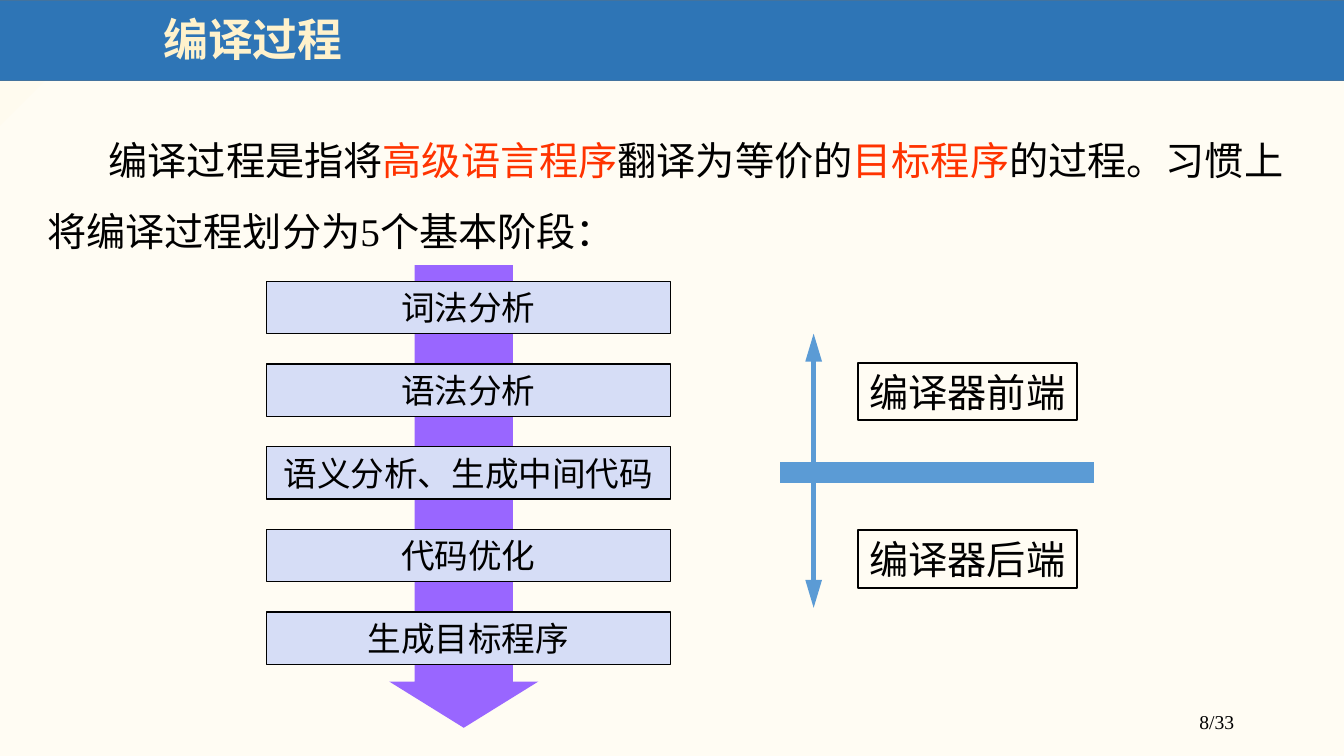
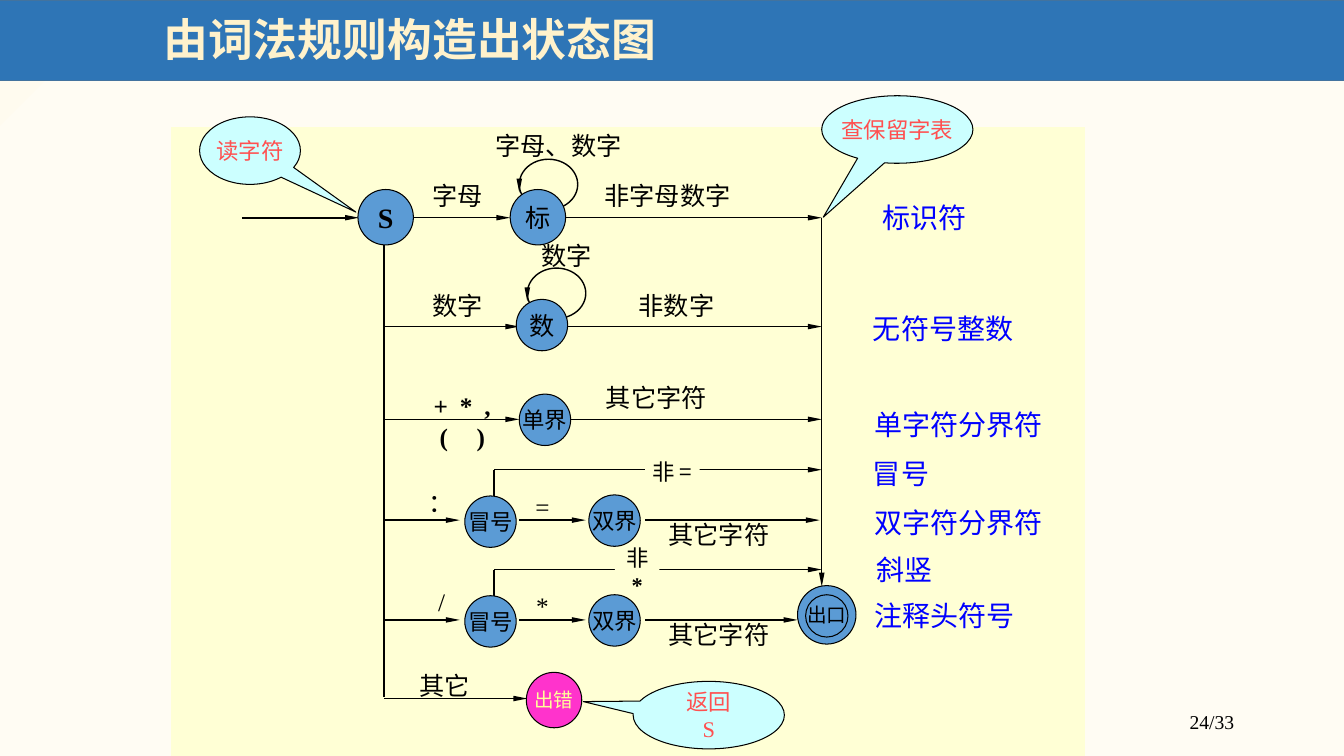
"""Build two slides on the phases of compiling and a lexer state diagram."""
from lxml import etree
from pptx import Presentation
from pptx.dml.color import RGBColor
from pptx.enum.shapes import MSO_CONNECTOR, MSO_SHAPE
from pptx.enum.text import MSO_ANCHOR, PP_ALIGN
from pptx.oxml.ns import qn
from pptx.util import Inches, Pt

RECT, OVAL, ARROW = MSO_SHAPE.RECTANGLE, MSO_SHAPE.OVAL, MSO_SHAPE.DOWN_ARROW
CALLOUT = MSO_SHAPE.OVAL_CALLOUT
STRAIGHT = MSO_CONNECTOR.STRAIGHT
LEFT, CENTER, RIGHT = PP_ALIGN.LEFT, PP_ALIGN.CENTER, PP_ALIGN.RIGHT
TOP, MIDDLE, BOTTOM = MSO_ANCHOR.TOP, MSO_ANCHOR.MIDDLE, MSO_ANCHOR.BOTTOM
SERIF, SANS = "Times New Roman", "Noto Sans CJK SC"
BLACK, BLUE, RED = "000000", "5B9BD5", "FF3300"
PANEL, PHASE, BUBBLE = "FFFFD5", "D6DDF6", "CCFFFF"
rgb = RGBColor.from_string


def add_box(slide, at, text="", kind=None, fill=None, line=None, width=0.75, size=18,
            color=BLACK, bold=False, align=CENTER, anchor=MIDDLE, wrap=False, face=SERIF):
    """Add a text box, or a preset shape when kind is given."""
    place = [Inches(v) for v in at]
    if kind is None:
        box = slide.shapes.add_textbox(*place)
    else:
        box = slide.shapes.add_shape(kind, *place)
        box.shadow.inherit = False
        if fill:
            box.fill.solid()
            box.fill.fore_color.rgb = rgb(fill)
        else:
            box.fill.background()
        if line:
            box.line.color.rgb = rgb(line)
            box.line.width = Pt(width)
        else:
            box.line.fill.background()
    if text:
        frame = box.text_frame
        frame.text = text
        frame.word_wrap = wrap
        frame.vertical_anchor = anchor
        for paragraph in frame.paragraphs:
            paragraph.alignment = align
            font = paragraph.font
            font.size, font.bold, font.name = Pt(size), bold, face
            font.color.rgb = rgb(color)
            defaults = paragraph._p.pPr.find(qn("a:defRPr"))
            etree.SubElement(defaults, qn("a:ea")).set("typeface", SANS)
    return box


def add_line(slide, ends, color=BLACK, width=1, head="sm"):
    """Add a straight line whose arrowhead has the given width, if any."""
    line = slide.shapes.add_connector(STRAIGHT, *[Inches(v) for v in ends])
    line.line.color.rgb = rgb(color)
    line.line.width = Pt(width)
    properties = line._element.spPr
    if head:
        tail = etree.SubElement(properties.find(qn("a:ln")), qn("a:tailEnd"))
        for key, value in (("type", "triangle"), ("w", head), ("len", "lg")):
            tail.set(key, value)
    etree.SubElement(properties, qn("a:effectLst"))


deck = Presentation()
deck.slide_width, deck.slide_height = Inches(13.33), Inches(7.5)
layout = deck.slide_layouts[5]
backdrop = layout.background.fill
backdrop.gradient()
backdrop.gradient_angle = 135
for stop, (position, tint) in zip(backdrop.gradient_stops, ((0.88, "FFFCF3"), (1, "FFFBEF"))):
    stop.position = position
    stop.color.rgb = rgb(tint)

slides = []
for heading, page in (("编译过程", "8/33"), ("由词法规则构造出状态图", "24/33")):
    slide = deck.slides.add_slide(layout)
    band = add_box(slide, (-0.02, 0, 13.36, 0.8), kind=RECT, fill="2E75B6", line="43739E", width=1)
    slide.shapes._spTree.insert(2, band._element)
    title = slide.shapes.title
    title.left, title.top, title.width, title.height = [Inches(v) for v in (1.52, 0, 10.97, 0.83)]
    title.text_frame.text = heading
    title.text_frame.vertical_anchor = MIDDLE
    paragraph = title.text_frame.paragraphs[0]
    paragraph.alignment = LEFT
    paragraph.line_spacing = 0.9
    paragraph.font.size, paragraph.font.bold, paragraph.font.name = Pt(32), True, SANS
    paragraph.font.color.rgb = rgb("FFF2CC")
    defaults = paragraph._p.pPr.find(qn("a:defRPr"))
    etree.SubElement(defaults, qn("a:ea")).set("typeface", SANS)
    add_box(slide, (9.56, 6.83, 2.78, 0.5), page, size=14, align=RIGHT, anchor=BOTTOM, wrap=True)
    slides.append(slide)
process, diagram = slides

intro = add_box(process, (0.37, 1.07, 12.56, 1.49), "编译过程是指将", size=28,
                align=LEFT, anchor=TOP, wrap=True).text_frame.paragraphs[0]
intro.line_spacing = 1.5
intro._p.pPr.set("indent", str(Inches(0.61)))
for words, color in (("高级语言程序", RED), ("翻译为等价的", None), ("目标程序", RED),
                     ("的过程。习惯上将编译过程划分为5个基本阶段：", None)):
    run = intro.add_run()
    run.text = words
    if color:
        run.font.color.rgb = rgb(color)

flow = add_box(process, (3.86, 2.63, 1.48, 4.59), kind=ARROW, fill="9966FF")
flow.adjustments[0], flow.adjustments[1] = 0.66, 0.31
phases = ("词法分析", "语法分析", "语义分析、生成中间代码", "代码优化", "生成目标程序")
for i, phase in enumerate(phases):
    add_box(process, (2.64, 2.79 + 0.82 * i, 4.01, 0.52), phase, RECT, PHASE, BLACK, 1,
            size=24, face=SANS)

add_line(process, (7.74, 4.69, 10.85, 4.69), BLUE, 15, None)
for start, end, top, part in ((4.59, 3.31, 3.6, "编译器前端"), (4.75, 6.03, 5.26, "编译器后端")):
    add_line(process, (8.07, start, 8.07, end), BLUE, 4, "med")
    add_box(process, (8.51, top, 2.17, 0.57), part, RECT, line=BLACK, width=1.5,
            size=28, face=SANS)

add_box(diagram, (1.7, 1.27, 9.06, 6.23), kind=RECT, fill=PANEL, line=PANEL)
for left, top, token in ((8.65, 1.94, "标识符"), (8.56, 3.04, "无符号整数"),
                         (8.57, 3.99, "单字符分界符"), (8.56, 4.48, "冒号"),
                         (8.57, 4.97, "双字符分界符"), (8.59, 5.43, "斜竖"),
                         (8.57, 5.89, "注释头符号")):
    add_box(diagram, (left, top, 1.98, 0.43), token, size=20, color="0000FF", align=LEFT, wrap=True)

for left, top in ((5.15, 1.58), (5.23, 2.66)):
    add_box(diagram, (left, top, 0.58, 0.5), kind=OVAL, line=BLACK, width=1)
    add_line(diagram, (left, top + 0.25, left, top + 0.33), width=0.75)

add_line(diagram, (2.4, 2.16, 3.56, 2.16), width=1.5)
add_line(diagram, (3.81, 2.33, 3.81, 6.91), head=None)
add_line(diagram, (8.15, 2.16, 8.15, 5.82))
for ends in ((3.98, 2.16, 5.06, 2.16), (5.48, 2.16, 8.15, 2.16),
             (3.81, 3.24, 5.15, 3.24), (5.56, 3.24, 8.15, 3.24),
             (3.81, 4.16, 5.15, 4.16), (5.65, 4.16, 8.15, 4.16),
             (3.81, 6.93, 5.23, 6.93)):
    add_line(diagram, ends)

labels = [(5.54, 1.24, "字母、数字"), (4.54, 1.74, "字母"), (6.62, 1.74, "非字母数字"),
          (5.62, 2.33, "数字"), (4.54, 2.83, "数字"), (6.71, 2.83, "非数字"),
          (6.51, 3.74, "其它字符"), (4.41, 6.6, "其它")]
nodes = [(3.55, 1.88, 0.55, "S", 20), (5.06, 1.88, 0.55, "标", 18),
         (5.12, 2.97, 0.51, "数", 18), (5.15, 3.91, 0.51, "单界", 16),
         (7.91, 5.81, 0.58, "出口", 14)]
for y, first, second, exit_x in ((5.16, "：", "=", 8.13), (6.15, "/", "*", 7.91)):
    for ends in ((3.81, y, 4.56, y), (5.15, y, 5.81, y), (6.4, y, exit_x, y),
                 (4.9, y - 0.5, 8.15, y - 0.5)):
        add_line(diagram, ends)
    add_line(diagram, (4.9, y - 0.22, 4.9, y - 0.5), head=None)
    labels += [(4.38, y - 0.38, first), (5.38, y - 0.34, second), (7.13, y - 0.06, "其它字符")]
    nodes += [(4.61, y - 0.24, 0.51, "冒号", 16), (5.84, y - 0.25, 0.51, "双界", 16)]

for center, top, label in labels:
    add_box(diagram, (center - 0.75, top, 1.5, 0.4), label)
for left, top, side, state, size in nodes:
    add_box(diagram, (left, top, side, side), state, OVAL, BLUE, BLACK, size=size, bold=state == "S")
add_box(diagram, (7.99, 5.9, 0.42, 0.42), kind=OVAL, line=BLACK)
add_box(diagram, (5.22, 6.67, 0.55, 0.55), "出错", OVAL, "FF33CC", BLACK, size=14, color="FFFF99")

delimiters = add_box(diagram, (4.19, 3.82, 0.79, 0.71), "+ * ,\n( )", bold=True)
for paragraph, spacing in zip(delimiters.text_frame.paragraphs, (200, 800)):
    paragraph.runs[0]._r.get_or_add_rPr().set("spc", str(spacing))

add_box(diagram, (6.4, 4.49, 0.54, 0.37), "非 =", RECT, PANEL, size=16, face=SANS)
not_star = add_box(diagram, (6.1, 5.48, 0.44, 0.37), "非\v*", RECT, PANEL, size=16)
not_star.text_frame.paragraphs[0].runs[-1].font.bold = True

for at, tip, note in (((1.98, 1.16, 1, 0.67), (1.05, 0.91), "读字符"),
                      ((8.15, 0.95, 1.5, 0.67), (-0.49, 1.3), "查保留字表"),
                      ((6.28, 6.76, 1.5, 0.67), (-0.83, -0.2), "返回\vS")):
    callout = add_box(diagram, at, note, CALLOUT, BUBBLE, BLACK, size=16, color="FF5050")
    callout.adjustments[0], callout.adjustments[1] = tip

deck.save("out.pptx")
